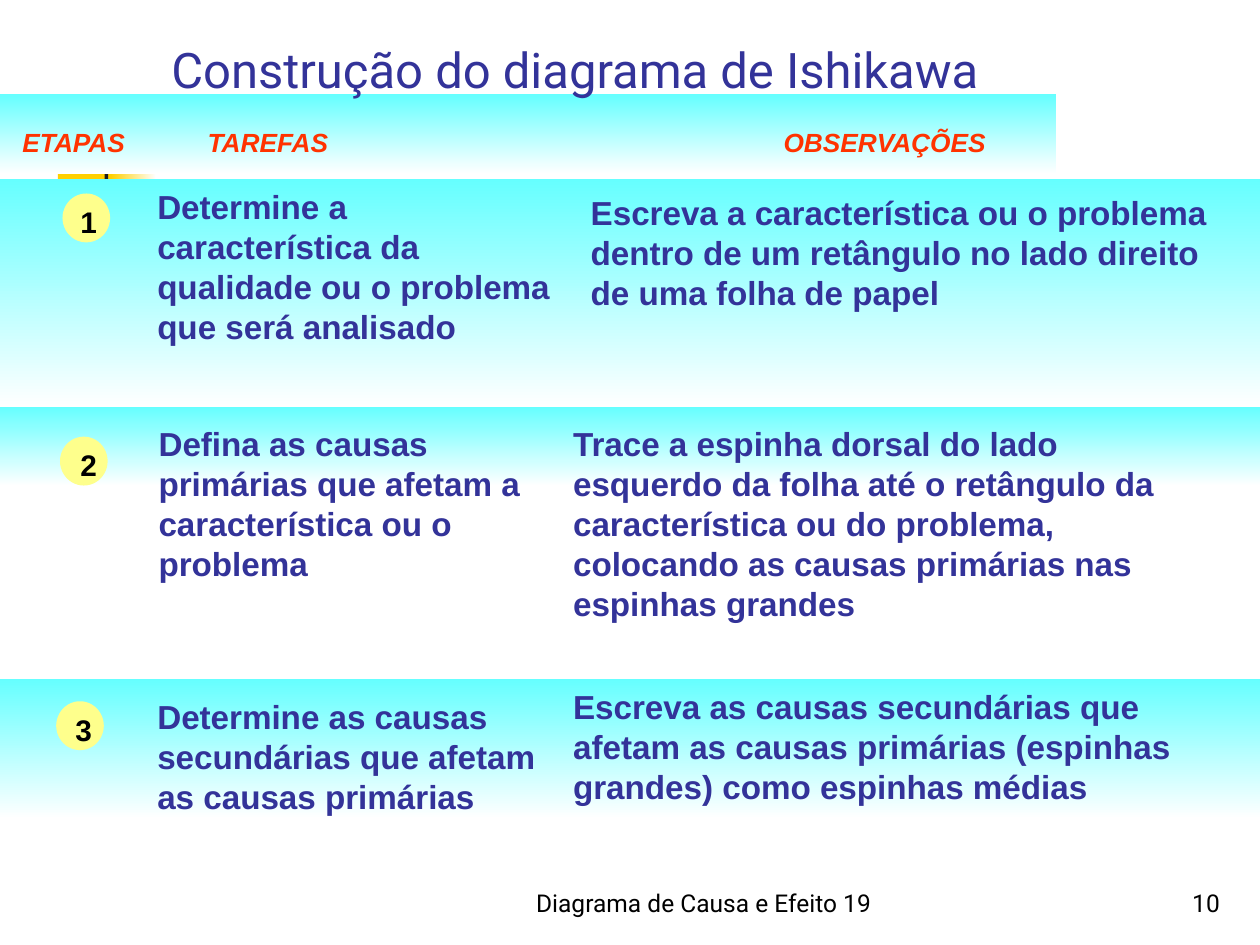
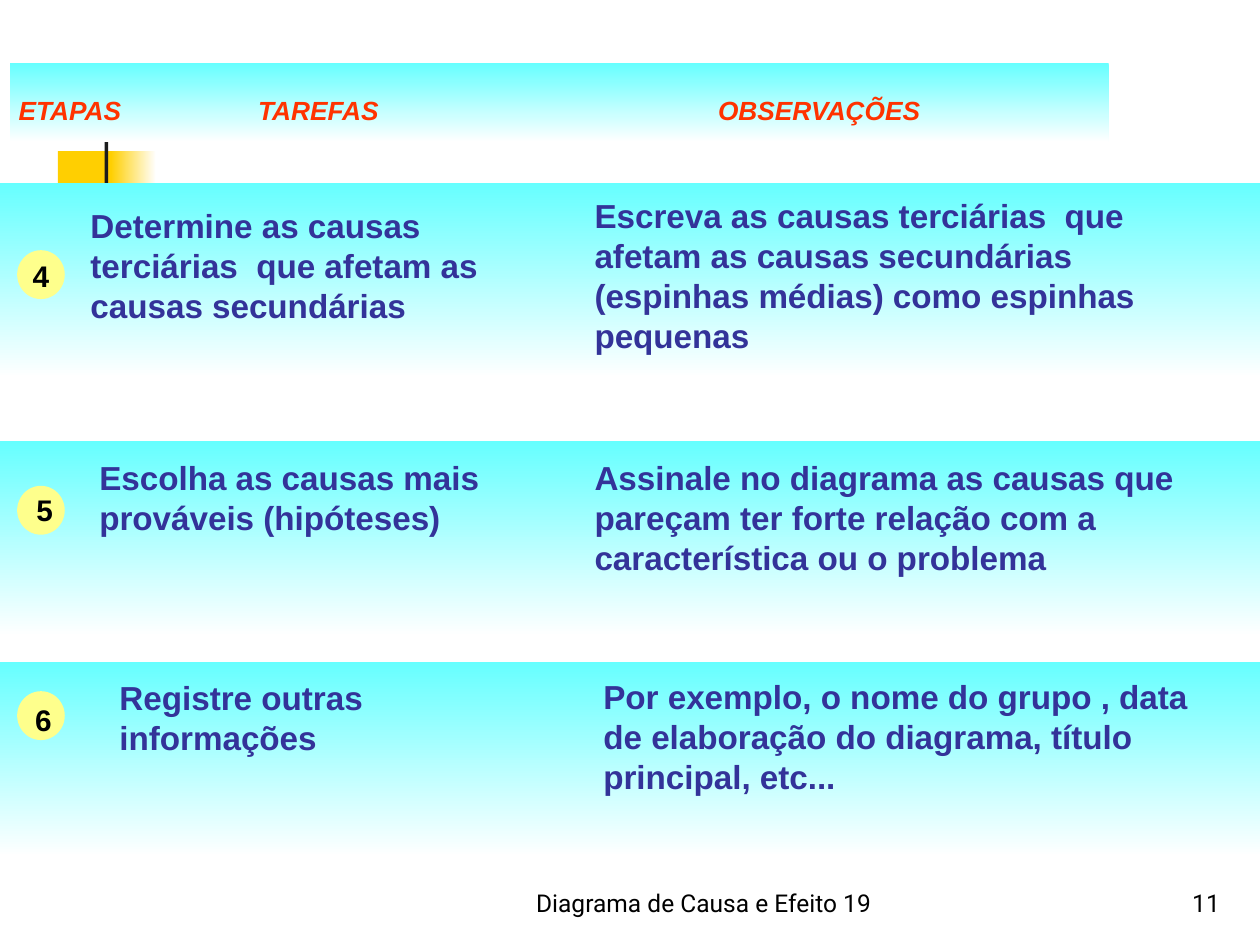
"""Build two slides on the steps for drawing an Ishikawa diagram."""
from dataclasses import dataclass

import pptx
import pptx.dml.color
import pptx.enum.shapes
import pptx.enum.text
import pptx.oxml.ns
import pptx.presentation
import pptx.shapes.autoshape
import pptx.slide
import pptx.text.text
import pptx.util

Align = pptx.enum.text.PP_ALIGN
Anchor = pptx.enum.text.MSO_ANCHOR
Preset = pptx.enum.shapes.MSO_SHAPE


@dataclass(frozen=True)
class TextStyle:
    size: int
    font: str
    color: str
    bold: bool = False
    italic: bool = False


@dataclass(frozen=True)
class Theme:
    width: float = 10
    height: float = 7.5
    band: str = "66FFFF"
    paper: str = "FFFFFF"
    accent: str = "FFCF01"
    rule: str = "1C1C1C"
    badge: str = "FEFF8C"
    title: TextStyle = TextStyle(28, "Roboto", "333399")
    footer: TextStyle = TextStyle(14, "Roboto", "000000")
    heading: TextStyle = TextStyle(15, "Arial", "FF3300", True, True)
    body: TextStyle = TextStyle(19, "Arial", "333399", True)
    number: TextStyle = TextStyle(17, "Arial", "000000", True)


@dataclass(frozen=True)
class Box:
    left: float
    top: float
    width: float
    height: float

    def lengths(self) -> tuple[pptx.util.Length, ...]:
        """Return left, top, width and height as slide lengths."""
        return tuple(pptx.util.Inches(value) for value in
                     (self.left, self.top, self.width, self.height))


@dataclass(frozen=True)
class Label:
    text: str
    box: Box


@dataclass(frozen=True)
class Step:
    band: Box
    badge: tuple[float, float]
    number: Label
    task: Label
    note: Label


@dataclass(frozen=True)
class StepPage:
    number: int
    header_band: Box
    header_top: float
    header_lefts: tuple[float, float, float]
    steps: tuple[Step, ...]
    title: str = ""


THEME = Theme()
HEADINGS = (("ETAPAS", 1.05), ("TAREFAS", 1.35), ("OBSERVAÇÕES", 2.19))
HEADING_HEIGHT = 0.35
BADGE_WIDTH, BADGE_HEIGHT = 0.35, 0.36
TITLE_BOX = Box(1.26, 0.23, 8.52, 0.6)
FOOTER = Label("Diagrama de Causa e Efeito 19", Box(4, 6.83, 3.17, 0.5))
PAGE_NUMBER_BOX = Box(7.7, 6.83, 2.08, 0.5)


def full_band(top: float, height: float) -> Box:
    """Return a band as wide as the slide."""
    return Box(0, top, THEME.width, height)


PAGES = (
    StepPage(10, Box(0, 0.75, 8.38, 0.63), 0.95, (0.08, 1.55, 6.12), (
        Step(full_band(1.42, 1.81), (0.51, 1.55),
             Label("1", Box(0.54, 1.57, 0.44, 0.38)),
             Label("Determine a característica da qualidade ou o problema "
                   "que será analisado", Box(1.15, 1.43, 3.46, 1.36)),
             Label("Escreva a característica ou o problema dentro de um "
                   "retângulo no lado direito de uma folha de papel",
                   Box(4.59, 1.48, 5.1, 1.05))),
        Step(full_band(3.23, 0.63), (0.49, 3.48),
             Label("2", Box(0.54, 3.5, 0.29, 0.38)),
             Label("Defina as causas primárias que afetam a característica "
                   "ou o problema", Box(1.16, 3.31, 3.12, 1.36)),
             Label("Trace a espinha dorsal do lado esquerdo da folha até o "
                   "retângulo da característica ou do problema, colocando as "
                   "causas primárias nas espinhas grandes",
                   Box(4.45, 3.31, 5.25, 1.68))),
        Step(full_band(5.39, 1.11), (0.46, 5.58),
             Label("3", Box(0.5, 5.6, 0.3, 0.38)),
             Label("Determine as causas secundárias que afetam as causas "
                   "primárias", Box(1.15, 5.48, 3.29, 1.05)),
             Label("Escreva as causas secundárias que afetam as causas "
                   "primárias (espinhas grandes) como espinhas médias",
                   Box(4.45, 5.4, 5.55, 1.05))),
    ), "Construção do diagrama de Ishikawa"),
    StepPage(11, Box(0.08, 0.5, 8.72, 0.63), 0.7, (0.05, 1.95, 5.6), (
        Step(full_band(1.45, 1.55), (0.15, 2),
             Label("4", Box(0.16, 2, 0.35, 0.38)),
             Label("Determine as causas terciárias  que afetam as causas "
                   "secundárias", Box(0.62, 1.58, 3.77, 1.05)),
             Label("Escreva as causas terciárias  que afetam as causas "
                   "secundárias (espinhas médias) como espinhas pequenas",
                   Box(4.62, 1.5, 4.92, 1.36))),
        Step(full_band(3.5, 1.55), (0.15, 3.87),
             Label("5", Box(0.19, 3.85, 0.29, 0.38)),
             Label("Escolha as causas mais prováveis (hipóteses)",
                   Box(0.69, 3.58, 3.54, 0.73)),
             Label("Assinale no diagrama as causas que pareçam ter forte "
                   "relação com a característica ou o problema",
                   Box(4.62, 3.58, 5.15, 1.05))),
        Step(full_band(5.25, 1.55), (0.15, 5.5),
             Label("6", Box(0.18, 5.52, 0.44, 0.38)),
             Label("Registre outras informações",
                   Box(0.85, 5.33, 2.27, 0.73)),
             Label("Por exemplo, o nome do grupo , data de elaboração do "
                   "diagrama, título principal, etc...",
                   Box(4.69, 5.32, 5.08, 1.05))),
    )),
)


def rgb(code: str) -> pptx.dml.color.RGBColor:
    """Turn a hexadecimal code into a colour."""
    return pptx.dml.color.RGBColor.from_string(code)


def write(frame: pptx.text.text.TextFrame, text: str, style: TextStyle,
          align: Align = Align.LEFT, anchor: Anchor = Anchor.TOP) -> None:
    """Fill a text frame with one styled paragraph."""
    frame.word_wrap = True
    frame.auto_size = pptx.enum.text.MSO_AUTO_SIZE.NONE
    frame.vertical_anchor = anchor
    paragraph = frame.paragraphs[0]
    paragraph.text = text
    paragraph.alignment = align
    font = paragraph.font
    font.size, font.name = pptx.util.Pt(style.size), style.font
    font.bold, font.italic = style.bold, style.italic
    font.color.rgb = rgb(style.color)


def add_label(page: pptx.slide.Slide, label: Label, style: TextStyle,
              align: Align = Align.LEFT, anchor: Anchor = Anchor.TOP) -> None:
    """Add a text box."""
    box = page.shapes.add_textbox(*label.box.lengths())
    write(box.text_frame, label.text, style, align, anchor)


def add_solid(page: pptx.slide.Slide, box: Box, color: str,
              preset: Preset = Preset.RECTANGLE
              ) -> pptx.shapes.autoshape.Shape:
    """Add a plain filled shape without outline or shadow."""
    shape = page.shapes.add_shape(preset, *box.lengths())
    shape.shadow.inherit = False
    shape.fill.solid()
    shape.fill.fore_color.rgb = rgb(color)
    shape.line.fill.background()
    return shape


def add_fade(page: pptx.slide.Slide, box: Box, color: str,
             downward: bool = True) -> None:
    """Add a rectangle that fades to the paper colour."""
    fill = add_solid(page, box, color).fill
    fill.gradient()
    fill.gradient_angle = 270 if downward else 0
    for stop, code, position in zip(fill.gradient_stops,
                                    (color, THEME.paper), (0, 1)):
        stop.color.rgb = rgb(code)
        stop.position = position


def add_frame(page: pptx.slide.Slide, number: int) -> None:
    """Draw the corner ornament, the footer and the page number."""
    add_solid(page, Box(0.46, 1.2, 0.48, 0.52), THEME.accent)
    add_fade(page, Box(0.88, 1.2, 0.36, 0.52), THEME.accent, False)
    add_solid(page, Box(0.83, 1.08, 0.03, 1.15), THEME.rule)
    add_label(page, FOOTER, THEME.footer, Align.CENTER, Anchor.BOTTOM)
    add_label(page, Label(str(number), PAGE_NUMBER_BOX), THEME.footer,
              Align.RIGHT, Anchor.BOTTOM)


def add_header(page: pptx.slide.Slide, content: StepPage) -> None:
    """Draw the header band with its three column headings."""
    add_fade(page, content.header_band, THEME.band)
    for (text, width), left in zip(HEADINGS, content.header_lefts):
        box = Box(left, content.header_top, width, HEADING_HEIGHT)
        add_label(page, Label(text, box), THEME.heading)


def add_step(page: pptx.slide.Slide, step: Step) -> None:
    """Draw one step: its band, numbered badge, task and note."""
    add_fade(page, step.band, THEME.band)
    badge = add_solid(page, Box(*step.badge, BADGE_WIDTH, BADGE_HEIGHT),
                      THEME.badge, Preset.OVAL)
    badge.line.color.rgb = rgb(THEME.badge)
    badge.line.width = pptx.util.Pt(2)
    add_label(page, step.number, THEME.number)
    add_label(page, step.task, THEME.body)
    add_label(page, step.note, THEME.body)


def add_page(deck: pptx.presentation.Presentation, content: StepPage) -> None:
    """Add one slide of steps."""
    layout = "Title Only" if content.title else "Blank"
    page = deck.slides.add_slide(deck.slide_layouts.get_by_name(layout))
    add_frame(page, content.number)
    add_header(page, content)
    for step in content.steps:
        add_step(page, step)
    title = page.shapes.title
    if title is not None:
        title.left, title.top, title.width, title.height = TITLE_BOX.lengths()
        write(title.text_frame, content.title, THEME.title,
              anchor=Anchor.BOTTOM)
        page.shapes.element.append(title.element)


def main() -> None:
    """Build and save the deck."""
    deck = pptx.Presentation()
    deck.slide_width = pptx.util.Inches(THEME.width)
    deck.slide_height = pptx.util.Inches(THEME.height)
    for content in PAGES:
        add_page(deck, content)
    deck.save("out.pptx")


if __name__ == "__main__":
    main()
